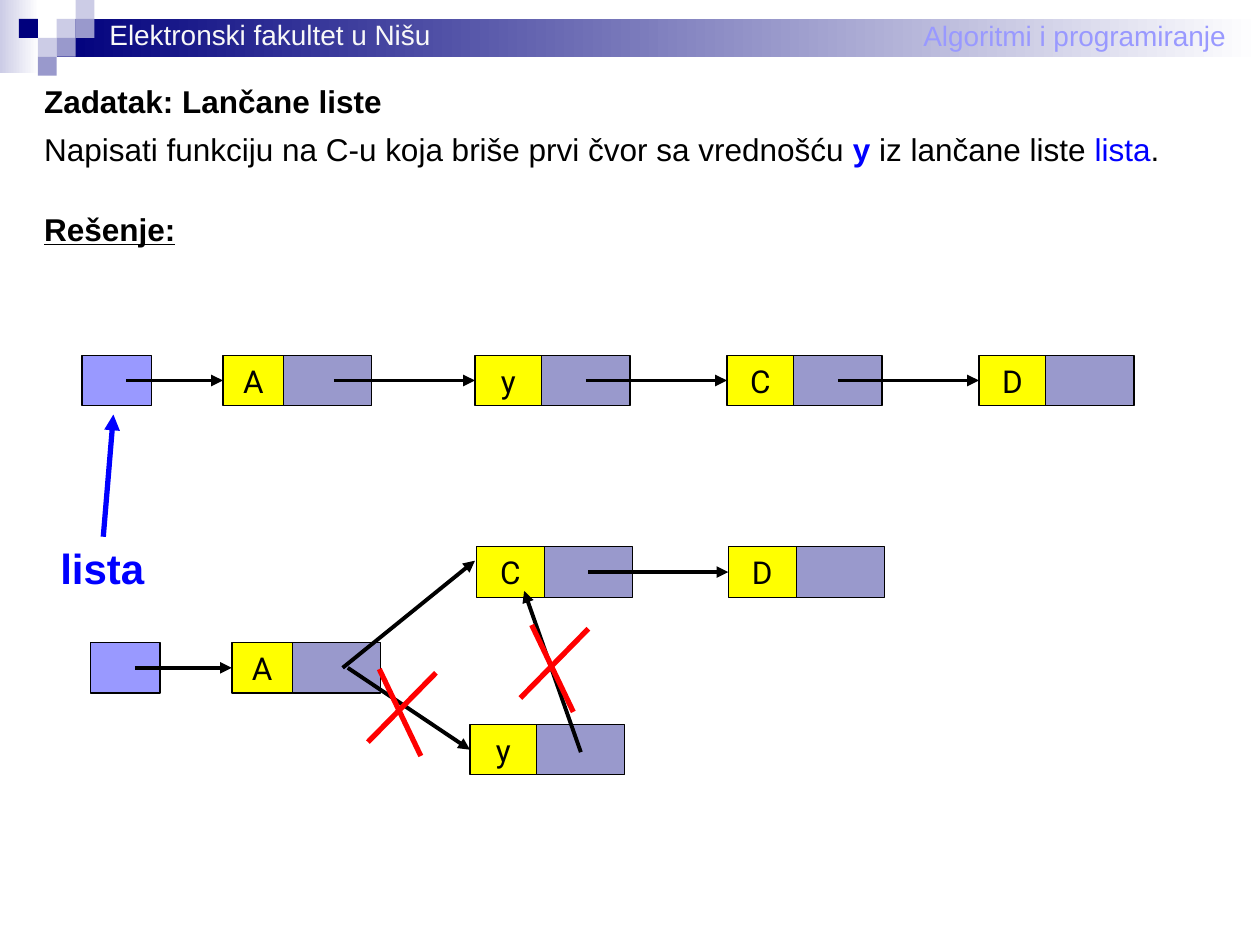
from lxml.etree import SubElement
from pptx import Presentation
from pptx.dml.color import RGBColor
from pptx.enum.shapes import MSO_CONNECTOR as Connector, MSO_SHAPE as Shape
from pptx.enum.text import MSO_ANCHOR as Anchor, PP_ALIGN as Align
from pptx.oxml.ns import qn
from pptx.util import Inches, Pt

BLACK = RGBColor(0x00, 0x00, 0x00)
WHITE = RGBColor(0xFF, 0xFF, 0xFF)
OFF_WHITE = RGBColor(0xF8, 0xF8, 0xF8)
NAVY = RGBColor(0x00, 0x00, 0x7D)
BLUE = RGBColor(0x00, 0x00, 0xFF)
RED = RGBColor(0xFF, 0x00, 0x00)
YELLOW = RGBColor(0xFF, 0xFF, 0x00)
PALE = RGBColor(0xCC, 0xCC, 0xE6)
LAVENDER = RGBColor(0x99, 0x99, 0xCC)
PERIWINKLE = RGBColor(0x99, 0x99, 0xFF)

TILE = 0.15
CELL_HEIGHT, POINTER_WIDTH, HEAD_WIDTH = 0.4, 0.7, 0.55
TOP_ROW, SHORT_ROW, MAIN_ROW, REMOVED_ROW = 2.82, 4.34, 5.1, 5.75

deck = Presentation()
deck.slide_width, deck.slide_height = Inches(10), Inches(7.5)
page = deck.slides.add_slide(deck.slide_layouts[1])


def add_span(para, text, size=18, font="Arial", color=BLACK, bold=False, underline=False):
    span = para.add_run()
    span.text = text
    span.font.size, span.font.name = Pt(size), font
    span.font.bold, span.font.underline = bold, underline
    span.font.color.rgb = color


def add_line(start, end, color=BLACK, width=2.25, arrow=True):
    line = page.shapes.add_connector(Connector.STRAIGHT, *map(Inches, start + end))
    line.line.color.rgb, line.line.width = color, Pt(width)
    if arrow:
        SubElement(line.line._get_or_add_ln(), qn("a:tailEnd"), type="triangle")
    SubElement(line._element.spPr, qn("a:effectLst"))
    return line


# Header: two gradient bars and a mosaic of square tiles
bars = [(0, 0, 0.31, 0.58, PALE), (3 * TILE, TILE, 10 - 3 * TILE, 2 * TILE, NAVY)]
for left, top, width, height, color in bars:
    bar = page.shapes.add_shape(Shape.RECTANGLE, *map(Inches, (left, top, width, height)))
    bar.shadow.inherit = False
    bar.line.fill.background()
    bar.fill.gradient()
    bar.fill.gradient_angle = 0
    for stop, shade in zip(bar.fill.gradient_stops, (color, WHITE)):
        stop.color.rgb = shade

tiles = [(3, 1, PALE), (4, 0, PALE), (4, 1, LAVENDER), (2, 2, PALE),
         (1, 1, NAVY), (3, 2, LAVENDER), (2, 3, LAVENDER)]
for column, row, color in tiles:
    tile = page.shapes.add_shape(
        Shape.RECTANGLE, *map(Inches, (column * TILE, row * TILE, TILE, TILE)))
    tile.shadow.inherit = False
    tile.fill.solid()
    tile.fill.fore_color.rgb = color
    tile.line.fill.background()

# Header captions and the label of the list pointer
labels = [
    ("Algoritmi i programiranje", 7.23, 0.1, 2.6, 0.37, dict(size=16, color=PERIWINKLE)),
    ("Elektronski fakultet u Nišu", 0.77, 0.09, 2.75, 0.37, dict(size=16, color=OFF_WHITE)),
    ("lista", 0.38, 4.26, 0.89, 0.5, dict(size=24, color=BLUE, bold=True)),
]
for text, left, top, width, height, style in labels:
    box = page.shapes.add_textbox(*map(Inches, (left, top, width, height)))
    box.text_frame.word_wrap = True
    add_span(box.text_frame.paragraphs[0], text, **style)

# Title and task
title, body = page.shapes.title, page.placeholders[1]
for holder, top, height in ((title, 0.6, 0.34), (body, 0.89, 1.7)):
    holder.left, holder.top = Inches(0.25), Inches(top)
    holder.width, holder.height = Inches(9.5), Inches(height)
    holder.text_frame.vertical_anchor = Anchor.TOP
    holder.text_frame.margin_bottom = 0
title_para = title.text_frame.paragraphs[0]
title_para.alignment = Align.LEFT
add_span(title_para, "Zadatak: Lančane liste", bold=True)

task = body.text_frame.paragraphs[0]
solution = body.text_frame.add_paragraph()
for para, spacing, before in ((task, 1.3, 0), (solution, 1, 24)):
    properties = para._p.get_or_add_pPr()
    properties.set("marL", "0")
    properties.set("indent", "0")
    SubElement(properties, qn("a:buNone"))
    para.line_spacing, para.space_before = spacing, Pt(before)
add_span(task, "Napisati funkciju na C-u koja briše prvi čvor sa vrednošću ")
add_span(task, "y", color=BLUE, bold=True)
add_span(task, " iz lančane liste ")
add_span(task, "lista", color=BLUE)
add_span(task, ".")
add_span(solution, "Rešenje:", bold=True, underline=True)

# List nodes: a value cell followed by a pointer cell
nodes = [("A", 1.77, TOP_ROW, 0.48), ("y", 3.77, TOP_ROW, 0.53),
         ("C", 5.77, TOP_ROW, 0.53), ("D", 7.77, TOP_ROW, 0.53),
         ("A", 1.84, MAIN_ROW, 0.48), ("y", 3.73, REMOVED_ROW, 0.53),
         ("C", 3.78, SHORT_ROW, 0.54), ("D", 5.78, SHORT_ROW, 0.54)]
cells = [("", 0.65, TOP_ROW, HEAD_WIDTH, PERIWINKLE),
         ("", 0.72, MAIN_ROW, HEAD_WIDTH, PERIWINKLE)]
for value, left, top, width in nodes:
    cells.append((value, left, top, width, YELLOW))
    cells.append(("", left + width, top, POINTER_WIDTH, LAVENDER))

value_cells = {}
for value, left, top, width, color in cells:
    cell = page.shapes.add_shape(
        Shape.RECTANGLE, *map(Inches, (left, top, width, CELL_HEIGHT)))
    cell.shadow.inherit = False
    cell.fill.solid()
    cell.fill.fore_color.rgb = color
    cell.line.color.rgb, cell.line.width = BLACK, Pt(0.75)
    if value:
        cell.text_frame.vertical_anchor = Anchor.MIDDLE
        cell.text_frame.paragraphs[0].alignment = Align.CENTER
        add_span(cell.text_frame.paragraphs[0], value, font="Roboto")
        value_cells[value, top] = cell

# Links that end at the left side of a value cell
links = [(1, TOP_ROW, "A", TOP_ROW), (2.65, TOP_ROW, "y", TOP_ROW),
         (4.65, TOP_ROW, "C", TOP_ROW), (6.65, TOP_ROW, "D", TOP_ROW),
         (1.07, MAIN_ROW, "A", MAIN_ROW), (2.76, MAIN_ROW, "y", REMOVED_ROW),
         (4.67, SHORT_ROW, "D", SHORT_ROW)]
for left, row, value, target_row in links:
    start = (left, row + CELL_HEIGHT / 2)
    add_line(start, start).end_connect(value_cells[value, target_row], 1)

# Free links, the list pointer and the crosses over the removed links
add_line((2.72, 5.3), (3.77, 4.45))
add_line((4.61, 5.97), (4.16, 4.69))
add_line((0.82, 4.26), (0.9, 3.29), color=BLUE, width=3)
for left, top in ((2.92, 5.31), (4.13, 4.96)):
    add_line((left + 0.54, top + 0.03), (left, top + 0.58), RED, 3, arrow=False)
    add_line((left + 0.09, top), (left + 0.42, top + 0.69), RED, 3, arrow=False)

deck.save("out.pptx")
